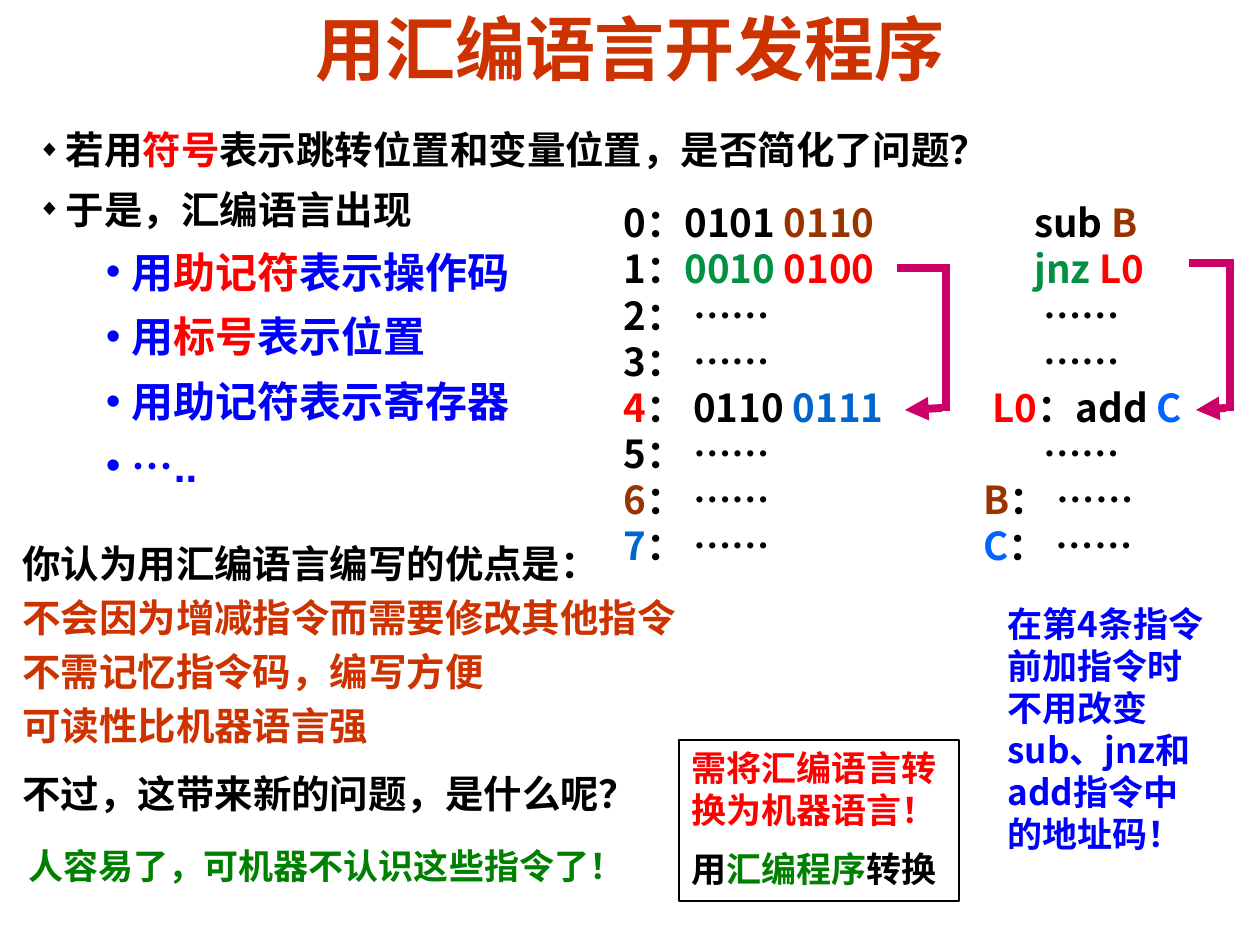
from lxml import etree
from pptx import Presentation, util as u
from pptx.dml.color import RGBColor
from pptx.enum import shapes, text
from pptx.oxml.ns import qn

PX = 914400 / 126
SANS, CJK = "Arial", "Noto Sans CJK SC"
INK = {
    "black": "000000", "red": "FF0000", "blue": "0000FF", "rust": "CC3300",
    "brown": "993300", "green": "008000", "jade": "009242",
    "azure": "0066CC", "sky": "0066FF", "pink": "CC0066",
}


def px(n):
    return u.Emu(round(n * PX))


def rgb(name):
    return RGBColor.from_string(INK[name])


def child(node, tag, **attrs):
    return etree.SubElement(node, qn(tag), attrs)


def write(par, runs, size, font=SANS):
    """Add (words, colour[, font]) runs to a paragraph."""
    for words, ink, *face in runs:
        run = par.add_run()
        run.text = words
        name = face[0] if face else font
        run.font.size, run.font.bold, run.font.name = u.Pt(size), True, name
        run.font.color.rgb = rgb(ink)
        child(run._r.get_or_add_rPr(), "a:ea", typeface=CJK)


def indent(par, left, hang=0):
    props = par._p.get_or_add_pPr()
    props.set("marL", str(px(left)))
    props.set("indent", str(-px(hang)))
    return props


def fill(frame, lines, size, font=SANS, gap=0):
    """Write one paragraph per line; gap is a share of the text size."""
    frame.word_wrap = True
    for i, runs in enumerate(lines):
        par = frame.paragraphs[0] if i == 0 else frame.add_paragraph()
        if i and gap:
            par.space_before = u.Pt(size * gap)
        write(par, runs, size, font)


def box(slide, x, y, w, h):
    return slide.shapes.add_textbox(px(x), px(y), px(w), px(h)).text_frame


def title(slide, x, y, w, h, words):
    head = slide.shapes.title
    head.left, head.top, head.width, head.height = map(px, (x, y, w, h))
    frame = head.text_frame
    frame.auto_size = text.MSO_AUTO_SIZE.NONE
    frame.vertical_anchor = text.MSO_ANCHOR.MIDDLE
    frame.paragraphs[0].alignment = text.PP_ALIGN.CENTER
    fill(frame, [[(words, "rust")]], 40)


def points(slide, x, y, w, h):
    frame = box(slide, x, y, w, h)
    frame.word_wrap = True
    frame.margin_left = frame.margin_right = px(9)
    frame.margin_top = frame.margin_bottom = px(4)
    items = [
        (0, [("若用", "black"), ("符号", "red"),
             ("表示跳转位置和变量位置，是否简化了问题？", "black")]),
        (0, [("于是，汇编语言出现", "black")]),
        (1, [("用", "blue"), ("助记符", "red"), ("表示操作码", "blue")]),
        (1, [("用", "blue"), ("标号", "red"), ("表示位置", "blue")]),
        (1, [("用助记符表示寄存器", "blue")]),
        (1, [("…", "blue", CJK), ("..", "blue")]),
    ]
    for i, (level, runs) in enumerate(items):
        size = 24 if level else 22
        par = frame.paragraphs[0] if i == 0 else frame.add_paragraph()
        par.level, par.line_spacing = level, 1.2
        if i:
            par.space_before = u.Pt(size / 10)
        props = indent(par, *((94, 26) if level else (28, 28)))
        tint = child(props, "a:buClr")
        child(tint, "a:srgbClr", val=INK["blue" if level else "black"])
        child(props, "a:buSzPct", val="100000" if level else "60000")
        child(props, "a:buFont", typeface=SANS)
        child(props, "a:buChar", char="•" if level else "◆")
        write(par, runs, size)


def leg(slide, x1, y1, x2, y2, tip=False):
    line = slide.shapes.add_connector(
        shapes.MSO_CONNECTOR.STRAIGHT, px(x1), px(y1), px(x2), px(y2))
    line.line.color.rgb, line.line.width = rgb("pink"), u.Pt(4.5)
    if tip:
        child(line.line._get_or_add_ln(), "a:tailEnd", type="triangle")
    child(line._element.spPr, "a:effectLst")


def jump(slide, left, top, right, end, bottom):
    """Draw the bracket from a jump to its target."""
    leg(slide, left, top, right + 4, top)
    leg(slide, right, top - 1, right, bottom + 1)
    leg(slide, right - 4, bottom - 2, end, bottom, True)


def machine(slide, x, y, w, h):
    dots = "： ……"
    fill(box(slide, x, y, w, h), [
        [("0：0101 ", "black"), ("0110", "brown")],
        [("1：", "black"), ("0010 ", "jade"), ("0100", "red")],
        [("2" + dots, "black")],
        [("3" + dots, "black")],
        [("4", "red"), ("： 0110 ", "black"), ("0111", "azure")],
        [("5" + dots, "black")],
        [("6", "brown"), (dots, "black")],
        [("7", "azure"), (dots, "black")],
    ], 22, CJK)
    jump(slide, x + 286, y + 75, x + 335, x + 294, y + 217)


def assembly(slide, x, y, w, h):
    frame = box(slide, x, y, w, h)
    dots = [("……", "black")]
    rows = [
        (51, [("sub ", "black"), ("B", "brown")]),
        (51, [("jnz ", "jade"), ("L0", "red")]),
        (60, dots),
        (60, dots),
        (9, [("L0", "red"), ("：add ", "black"), ("C", "sky")]),
        (60, dots),
        (0, [("B", "brown"), ("： ……", "black")]),
        (0, [("C", "sky"), ("： ……", "black")]),
    ]
    fill(frame, [runs for _, runs in rows], 22, CJK)
    for par, (left, _) in zip(frame.paragraphs, rows):
        indent(par, left)
    jump(slide, x + 218, y + 70, x + 259, x + 225, y + 217)


def merits(slide, x, y, w, h):
    fill(box(slide, x, y, w, h), [
        [("你认为用汇编语言编写的优点是：", "black")],
        [("不会因为增减指令而需要修改其他指令", "rust")],
        [("不需记忆指令码，编写方便", "rust")],
        [("可读性比机器语言强", "rust")],
    ], 22, gap=0.2)


def note(slide, x, y, w, h, words, ink, size, font=SANS):
    fill(box(slide, x, y, w, h), [[(words, ink)]], size, font)


def answer(slide, x, y, w, h):
    card = slide.shapes.add_shape(
        shapes.MSO_SHAPE.RECTANGLE, px(x), px(y), px(w), px(h))
    card.shadow.inherit = False
    card.fill.background()
    card.line.color.rgb, card.line.width = rgb("black"), u.Pt(0.75)
    frame = card.text_frame
    frame.margin_right = 0
    frame.vertical_anchor = text.MSO_ANCHOR.TOP
    fill(frame, [
        [("需将汇编语言转换为机器语言！", "red")],
        [("用", "black"), ("汇编程序", "green"), ("转换", "black")],
    ], 20, gap=0.5)
    for par in frame.paragraphs:
        par.alignment = text.PP_ALIGN.LEFT


def main():
    deck = Presentation()
    deck.slide_width, deck.slide_height = px(1260), px(945)
    slide = deck.slides.add_slide(deck.slide_layouts[5])
    title(slide, 63, 18, 1134, 58, "用汇编语言开发程序")
    points(slide, 29, 113, 1123, 684)
    machine(slide, 611, 193, 334, 382)
    assembly(slide, 971, 193, 258, 386)
    note(slide, 995, 596, 229, 267,
         "在第4条指令前加指令时不用改变sub、jnz和add指令中的地址码！",
         "blue", 20, CJK)
    merits(slide, 10, 534, 719, 224)
    note(slide, 10, 764, 675, 59,
         "不过，这带来新的问题，是什么呢？", "black", 22)
    note(slide, 16, 838, 633, 54,
         "人容易了，可机器不认识这些指令了！", "green", 20)
    answer(slide, 679, 740, 280, 161)
    deck.save("out.pptx")


if __name__ == "__main__":
    main()
